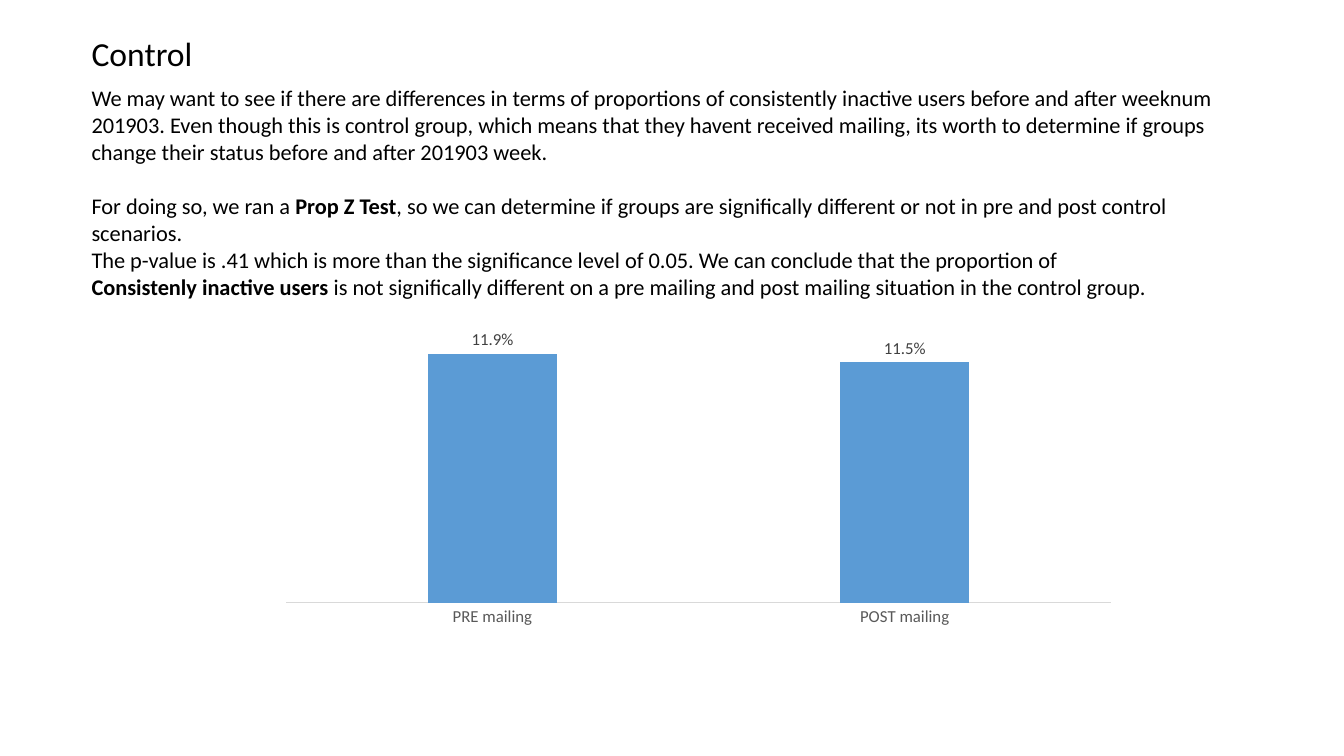
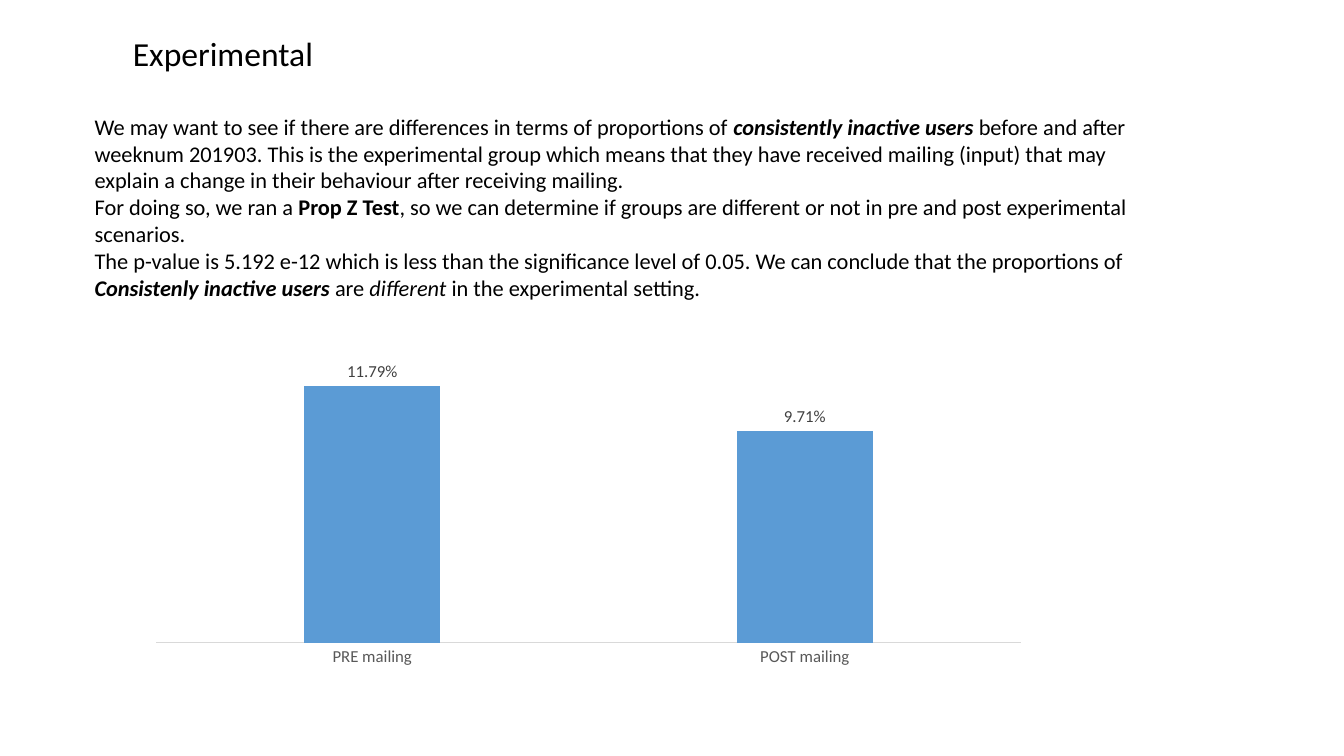
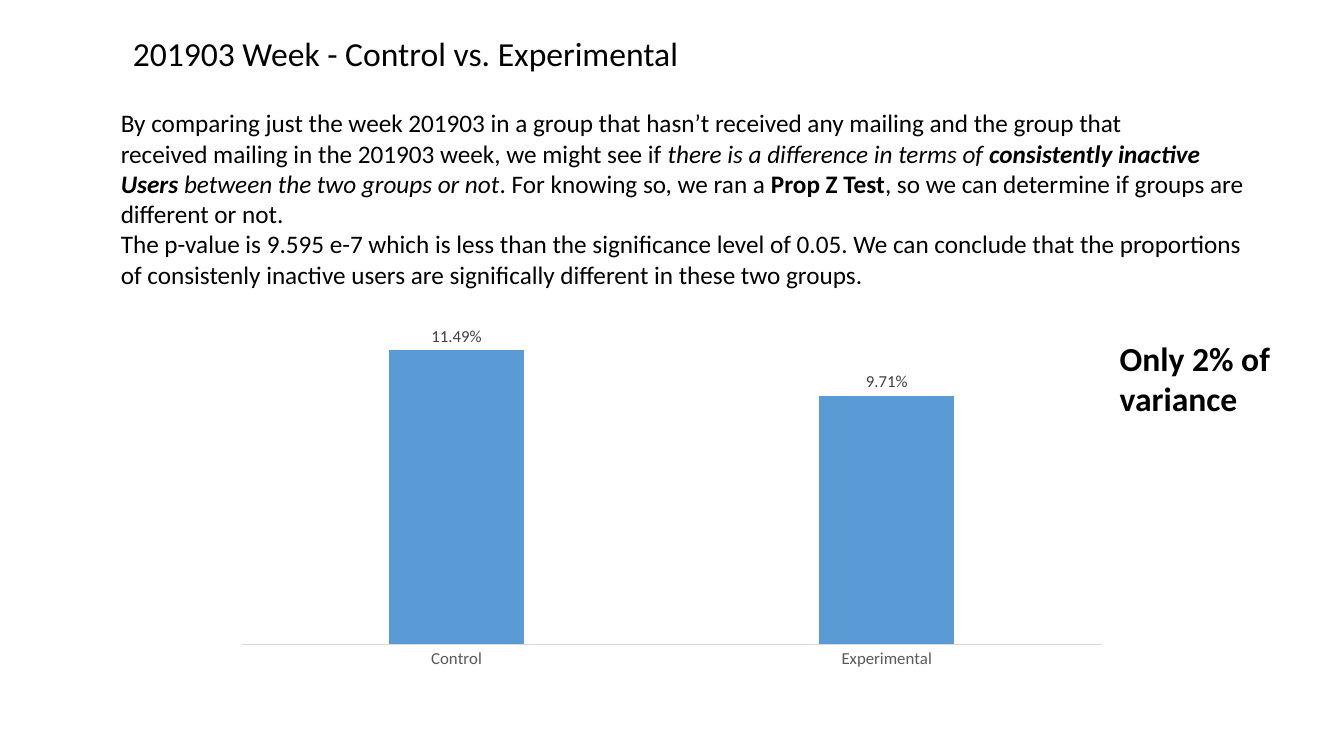
from dataclasses import dataclass

from lxml import etree
from pptx import Presentation
from pptx.chart.data import CategoryChartData
from pptx.dml.color import RGBColor
from pptx.enum.chart import XL_CHART_TYPE as ChartType
from pptx.enum.chart import XL_LABEL_POSITION as LabelPosition
from pptx.enum.chart import XL_TICK_MARK as TickMark
from pptx.enum.text import MSO_AUTO_SIZE as AutoSize
from pptx.oxml.ns import qn
from pptx.util import Pt


@dataclass(frozen=True)
class Theme:
    font: str = "Calibri"
    text: RGBColor = RGBColor(0x00, 0x00, 0x00)
    bar: RGBColor = RGBColor(0x5B, 0x9B, 0xD5)
    axis_line: RGBColor = RGBColor(0xD9, 0xD9, 0xD9)
    axis_text: RGBColor = RGBColor(0x59, 0x59, 0x59)
    label: RGBColor = RGBColor(0x40, 0x40, 0x40)
    title_size: int = 24
    chart_size: int = 12
    title_top: float = 20.2
    title_height: float = 36
    axis_max: float = 0.14


THEME = Theme()

# Content: a paragraph is a list of (text, style), where style holds b and/or i.
# Boxes are (left, top, width, height) in points.
SLIDES = [
    {
        "title": ("Control", 58.3, 87.1),
        "body": [
            [("We may want to see if there are differences in terms of proportions of "
              "consistently inactive users before and after weeknum 201903. Even though "
              "this is control group, which means that they havent received mailing, its "
              "worth to determine if groups change their status before and after 201903 "
              "week.", "")],
            [("For doing so, we ran a ", ""), ("Prop Z Test", "b"),
             (", so we can determine if groups are significally different or not in pre "
              "and post control scenarios.", "")],
            [("The p-value is .41 which is more than the significance level of 0.05. We "
              "can conclude that the proportion of", "")],
            [("Consistenly inactive users ", "b"),
             ("is not significally different on a pre mailing and post mailing situation "
              "in the control group.", "")],
        ],
        "body_box": (58.3, 56.9, 847.4, 162.7),
        "body_size": 16,
        "space_before": {1: 19.5},
        "bars": {"PRE mailing": 0.119, "POST mailing": 0.115},
        "format": "0.0%",
        "chart_box": (159.8, 216.7, 640.1, 237.6),
        "plot": {"x": 0.07, "y": 0.02, "w": 0.92, "h": 0.88},
    },
    {
        "title": ("Experimental", 87.8, 144.7),
        "body": [
            [("We may want to see if there are differences in terms of proportions of ", ""),
             ("consistently inactive users ", "bi"),
             ("before and after weeknum 201903. This is the experimental group which means "
              "that they have received mailing (input) that may explain a change in their "
              "behaviour after receiving mailing.", "")],
            [("For doing so, we ran a ", ""), ("Prop Z Test", "b"),
             (", so we can determine if groups are different or not in pre and post "
              "experimental scenarios.", "")],
            [("The p-value is 5.192 e-12 which is less than the significance level of "
              "0.05. We can conclude that the proportions of", "")],
            [("Consistenly inactive users ", "bi"), ("are ", ""), ("different ", "i"),
             ("in the experimental setting.", "")],
        ],
        "body_box": (60.5, 77.1, 754.6, 143.2),
        "body_size": 16,
        "bars": {"PRE mailing": 0.1179, "POST mailing": 0.0971},
        "format": "0.00%",
        "chart_box": (98.6, 236.2, 643.7, 244.8),
    },
    {
        "title": ("201903 Week - Control vs. Experimental", 87.8, 407.5),
        "body": [
            [("By comparing just the week 201903 in a group that hasn’t received any "
              "mailing and the group that", "")],
            [("received mailing in the 201903 week, we might see if ", ""),
             ("there is a difference in terms of ", "i"),
             ("consistently inactive", "bi")],
            [("Users ", "bi"), ("between the two groups or not", "i"),
             (". For knowing so, we ran a ", ""), ("Prop Z Test", "b"),
             (", so we can determine if groups are different or not.", "")],
            [("The p-value is 9.595 e-7 which is less than the significance level of 0.05. "
              "We can conclude that the proportions of consistenly inactive users are "
              "significally different in these two groups.", "")],
        ],
        "body_box": (79.2, 73.4, 825.1, 159.8),
        "body_size": 18,
        "bars": {"Control": 0.1149, "Experimental": 0.0971},
        "format": "0.00%",
        "chart_box": (159.8, 198.7, 640.1, 284.4),
        "note": ("Only 2% of variance", (792.7, 237.6, 133.9, 65.5)),
    },
]


def in_points(box):
    return [Pt(length) for length in box]


def style_font(font, size, color):
    font.name = THEME.font
    font.size = Pt(size)
    font.color.rgb = color


def add_text(page, paragraphs, box, size, wrap=True, space_before=None):
    frame = page.shapes.add_textbox(*in_points(box)).text_frame
    frame.word_wrap = wrap
    frame.auto_size = AutoSize.SHAPE_TO_FIT_TEXT
    for index, spans in enumerate(paragraphs):
        para = frame.add_paragraph() if index else frame.paragraphs[0]
        style_font(para.font, size, THEME.text)
        if space_before and index in space_before:
            para.space_before = Pt(space_before[index])
        for text, style in spans:
            span = para.add_run()
            span.text = text
            if "b" in style:
                span.font.bold = True
            if "i" in style:
                span.font.italic = True


def place_plot(chart, plot):
    """Fix the inner plot area, given as fractions of the chart."""
    area = chart.element.find(".//" + qn("c:plotArea"))
    layout = area.find(qn("c:layout"))
    if layout is None:
        layout = etree.Element(qn("c:layout"))
        area.insert(0, layout)
    manual = etree.SubElement(layout, qn("c:manualLayout"))
    settings = {"layoutTarget": "inner", "xMode": "edge", "yMode": "edge", **plot}
    for name, value in settings.items():
        etree.SubElement(manual, qn("c:" + name)).set("val", str(value))


def add_bars(page, bars, number_format, box, plot):
    data = CategoryChartData(number_format=number_format)
    data.categories = list(bars)
    data.add_series("Series 1", list(bars.values()))
    chart = page.shapes.add_chart(
        ChartType.COLUMN_CLUSTERED, *in_points(box), data).chart
    chart.has_legend = False
    chart.has_title = False
    style_font(chart.font, THEME.chart_size, THEME.axis_text)

    # Axes
    chart.value_axis.visible = False
    chart.value_axis.has_major_gridlines = False
    chart.value_axis.minimum_scale = 0
    chart.value_axis.maximum_scale = THEME.axis_max
    categories = chart.category_axis
    categories.major_tick_mark = TickMark.NONE
    categories.format.line.color.rgb = THEME.axis_line
    categories.format.line.width = Pt(0.75)

    # Columns and their labels
    columns = chart.plots[0]
    columns.vary_by_categories = False
    columns.gap_width = 219
    columns.overlap = -27
    fill = columns.series[0].format.fill
    fill.solid()
    fill.fore_color.rgb = THEME.bar
    columns.has_data_labels = True
    labels = columns.data_labels
    labels.show_value = True
    labels.number_format = number_format
    labels.number_format_is_linked = False
    labels.position = LabelPosition.OUTSIDE_END
    style_font(labels.font, THEME.chart_size, THEME.label)
    if plot:
        place_plot(chart, plot)


def main():
    deck = Presentation()
    deck.slide_width, deck.slide_height = Pt(960), Pt(540)
    for content in SLIDES:
        page = deck.slides.add_slide(deck.slide_layouts[6])
        add_bars(page, content["bars"], content["format"],
                 content["chart_box"], content.get("plot"))
        title, left, width = content["title"]
        add_text(page, [[(title, "")]],
                 (left, THEME.title_top, width, THEME.title_height),
                 THEME.title_size, wrap=False)
        add_text(page, content["body"], content["body_box"], content["body_size"],
                 space_before=content.get("space_before"))
        if "note" in content:
            note, box = content["note"]
            add_text(page, [[(note, "b")]], box, THEME.title_size)
    deck.save("out.pptx")


if __name__ == "__main__":
    main()
